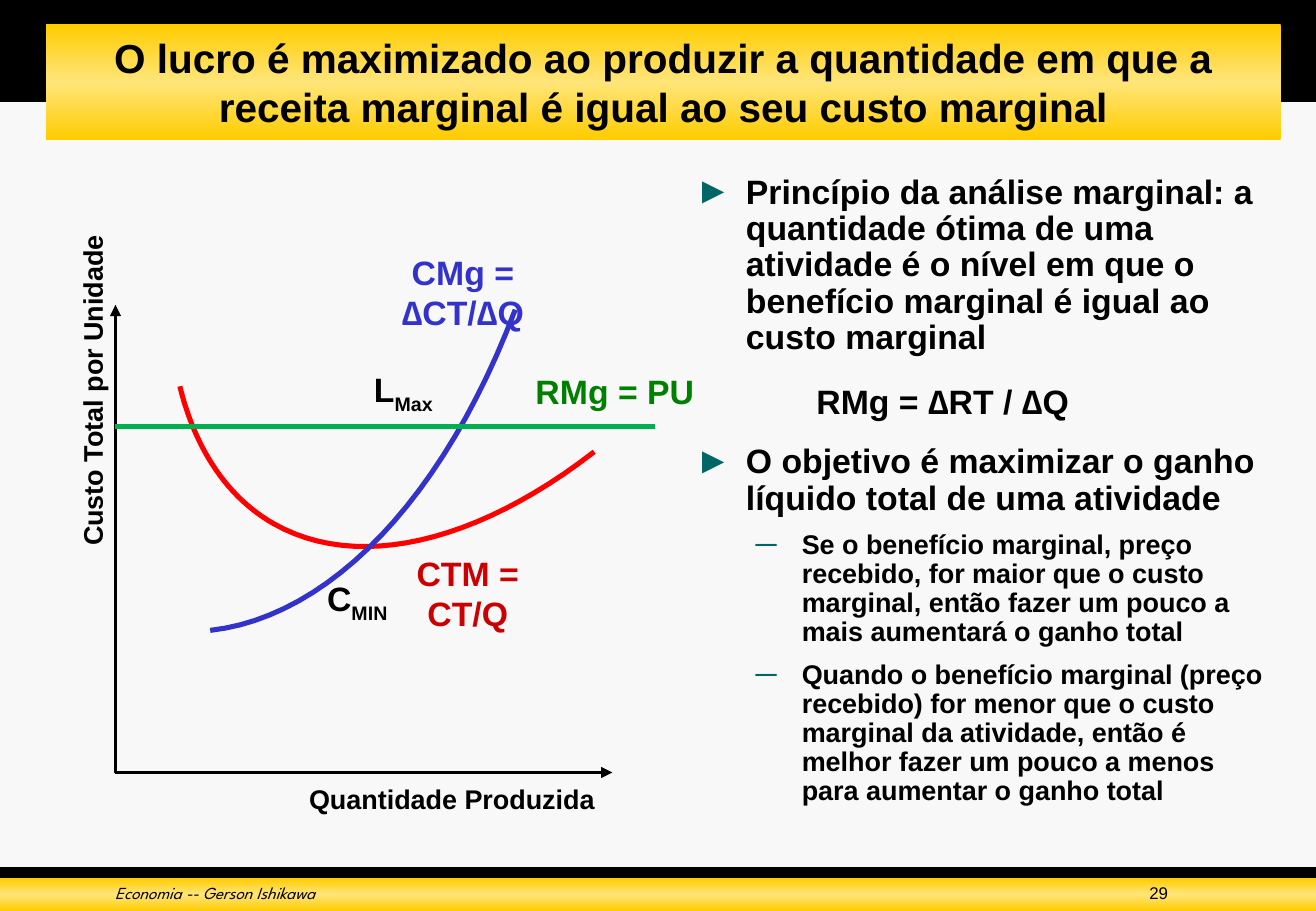
from lxml.etree import SubElement
from pptx import Presentation
from pptx.dml.color import RGBColor
from pptx.enum.shapes import MSO_CONNECTOR as CONN, MSO_SHAPE as SHAPE
from pptx.enum.text import MSO_ANCHOR as ANCHOR, PP_ALIGN as ALIGN
from pptx.oxml import parse_xml
from pptx.oxml.ns import nsdecls, qn
from pptx.util import Inches, Pt

BLACK, TEAL, BLUE = "000000", "006666", "3333CC"
TITLE = ("O lucro é maximizado ao produzir a quantidade em que a "
         "receita marginal é igual ao seu custo marginal")
BODY = [
    (0, "Princípio da análise marginal: a quantidade ótima de uma atividade é o nível "
        "em que o benefício marginal é igual ao custo marginal"),
    (None, "RMg = ∆RT / ∆Q"),
    (0, "O objetivo é maximizar o ganho líquido total de uma atividade"),
    (1, "Se o benefício marginal, preço recebido, for maior que o custo marginal, "
        "então fazer um pouco a mais aumentará o ganho total"),
    (1, "Quando o benefício marginal (preço recebido) for menor que o custo marginal "
        "da atividade, então é melhor fazer um pouco a menos para aumentar o ganho total"),
]
LEVELS = {
    0: dict(size=20, left=0.42, hang=-0.42, before=14, lines=0.9, bullet="►"),
    1: dict(size=16, left=0.88, hang=-0.38, before=8, lines=0.9, bullet="─"),
    None: dict(size=20, left=1, hang=0, before=14, lines=1, bullet=None),
}


def rgb(color):
    """Turn a hex string into a colour."""
    return RGBColor.from_string(color)


def add_run(p, text, size, color=BLACK, bold=True, italic=False, font="Arial"):
    """Append one formatted run to a paragraph."""
    r = p.add_run()
    r.text = text
    f = r.font
    f.name, f.size, f.bold, f.italic = font, Pt(size), bold, italic
    f.color.rgb = rgb(color)
    return r


def add_text(s, x, y, w, h, wrap=True, align=ALIGN.LEFT):
    """Add an empty text box and return it with its first paragraph."""
    sp = s.shapes.add_textbox(Inches(x), Inches(y), Inches(w), Inches(h))
    sp.text_frame.word_wrap = wrap
    p = sp.text_frame.paragraphs[0]
    p.alignment = align
    return sp, p


def add_bar(s, x, y, w, h, gold=False):
    """Add a black bar, or a gold one that is lighter in the middle."""
    sp = s.shapes.add_shape(SHAPE.RECTANGLE, Inches(x), Inches(y), Inches(w), Inches(h))
    sp.shadow.inherit = False
    sp.line.fill.background()
    if gold:
        stops = "".join(f'<a:gs pos="{pos}"><a:srgbClr val="{color}"/></a:gs>' for pos, color in
                        ((0, "FFCC00"), (50000, "FFE579"), (100000, "FFCC00")))
        sp.fill.background()
        none = sp._element.spPr.find(qn("a:noFill"))
        none.addprevious(parse_xml(f'<a:gradFill {nsdecls("a")}><a:gsLst>{stops}</a:gsLst>'
                                   '<a:lin ang="5400000" scaled="0"/></a:gradFill>'))
        sp._element.spPr.remove(none)
    else:
        sp.fill.solid()
        sp.fill.fore_color.rgb = rgb(BLACK)
    return sp


def add_line(s, x1, y1, x2, y2, color, width, arrow=False):
    """Add a straight line, with an arrowhead at its end if asked."""
    c = s.shapes.add_connector(CONN.STRAIGHT, Inches(x1), Inches(y1), Inches(x2), Inches(y2))
    c.line.color.rgb = rgb(color)
    c.line.width = Pt(width)
    if arrow:
        SubElement(c.line._get_or_add_ln(), qn("a:tailEnd"), type="triangle")
    SubElement(c._element.spPr, qn("a:effectLst"))


def bezier(p0, p1, p2, p3, steps=24):
    """Return the points after the first along a cubic curve."""
    ts = [i / steps for i in range(1, steps + 1)]
    return [tuple((1 - t) ** 3 * a + 3 * t * (1 - t) ** 2 * b + 3 * t * t * (1 - t) * c + t ** 3 * d
                  for a, b, c, d in zip(p0, p1, p2, p3)) for t in ts]


def add_curve(s, x, y, knots, color):
    """Draw joined cubic curves through knots relative to x, y."""
    points = [knots[0]]
    for i in range(0, len(knots) - 1, 3):
        points += bezier(*knots[i:i + 4])
    start, *rest = [(Inches(x + dx), Inches(y + dy)) for dx, dy in points]
    builder = s.shapes.build_freeform(*start)
    builder.add_line_segments(rest, close=False)
    sp = builder.convert_to_shape()
    sp.shadow.inherit = False
    sp.fill.background()
    sp.line.color.rgb = rgb(color)
    sp.line.width = Pt(3)


def add_label(s, cx, y, w, text, color=BLACK, size=20, sub="", wrap=False):
    """Add a centred bold label, with an optional subscript."""
    sp, p = add_text(s, cx - w / 2, y, w, 0.44 if size == 20 else 0.37, wrap, ALIGN.CENTER)
    add_run(p, text, size, color)
    if sub:
        r = add_run(p, sub, size, color)
        r.font._element.set("baseline", "-25000")
    return sp


def add_cost_graph(s, x, y, w, h):
    """Draw the axes, cost curves and labels in a box whose corners are the axis tips."""
    add_line(s, x, y + h, x, y, BLACK, 2.25, arrow=True)
    add_line(s, x, y + h, x + w, y + h, BLACK, 2.25, arrow=True)
    add_label(s, x - 0.19, y + 0.52, 2.78, "Custo Total por Unidade", size=16).rotation = 270
    add_label(s, x + 2.77, y + h + 0.03, 2.56, "Quantidade Produzida", size=16)
    add_curve(s, x, y, [(3.94, 1.21), (2.96, 1.97), (1.98, 2.19), (1.3, 1.8),
                        (0.93, 1.59), (0.66, 1.2), (0.53, 0.67)], "FF0000")
    add_curve(s, x, y, [(3.29, 0.04), (2.71, 1.58), (1.77, 2.57), (0.78, 2.68)], BLUE)
    add_label(s, x + 2.86, y - 0.49, 1.4, "CMg = ∆CT/∆Q", BLUE, wrap=True)
    add_label(s, x + 2.9, y + 1.99, 1.3, "CTM = CT/Q", "CC0000", wrap=True)
    add_label(s, x + 1.99, y + 2.2, 0.75, "C", sub="MIN")
    add_line(s, x, y + 1, x + 4.44, y + 1, "00B050", 3)
    add_label(s, x + 4.11, y + 0.49, 1.52, "RMg = PU", "008000")
    add_label(s, x + 2.37, y + 0.48, 0.74, "L", sub="Max")


def add_body(s, x, y, w, h):
    """Add the bulleted text."""
    sp, p = add_text(s, x, y, w, h)
    for i, (level, text) in enumerate(BODY):
        st = LEVELS[level]
        if i:
            p = sp.text_frame.add_paragraph()
            p.space_before = Pt(st["before"])
        p.level = level or 0
        p.line_spacing = st["lines"]
        pPr = p._p.get_or_add_pPr()
        pPr.set("marL", str(Inches(st["left"])))
        pPr.set("indent", str(Inches(st["hang"])))
        if st["bullet"]:
            SubElement(SubElement(pPr, qn("a:buClr")), qn("a:srgbClr"), val=TEAL)
            SubElement(pPr, qn("a:buSzPct"), val="110000")
            SubElement(pPr, qn("a:buFont"), typeface="Arial")
            SubElement(pPr, qn("a:buChar"), char=st["bullet"])
        add_run(p, text, st["size"])


def add_header(s, x, y, w, h):
    """Add the black band and the gold title bar over it."""
    add_bar(s, x, y, w, h)
    sp = add_bar(s, x + 0.38, y + 0.2, 10.16, 0.95, gold=True)
    sp.text_frame.word_wrap = True
    sp.text_frame.vertical_anchor = ANCHOR.MIDDLE
    p = sp.text_frame.paragraphs[0]
    p.alignment = ALIGN.CENTER
    add_run(p, TITLE, 24)


def add_footer(s, x, y, w, h):
    """Add the footer bands, the credit line and the page number."""
    add_bar(s, x, y, w, h)
    add_bar(s, x, y + 0.09, w, h - 0.09, gold=True)
    p = add_text(s, x + 0.85, y + 0.08, 6.22, 0.28)[1]
    add_run(p, "Economia -- Gerson Ishikawa", 10, bold=False, italic=True, font="League Spartan")
    p = add_text(s, x + 8.57, y + 0.08, 1.14, 0.28, align=ALIGN.RIGHT)[1]
    add_run(p, "29", 10, bold=False)


def main():
    """Build and save the slide."""
    prs = Presentation()
    prs.slide_width, prs.slide_height = Inches(10.83), Inches(7.5)
    s = prs.slides.add_slide(prs.slide_layouts[6])
    s.background.fill.solid()
    s.background.fill.fore_color.rgb = rgb("F8F8F8")
    add_header(s, 0, 0, 10.83, 0.84)
    add_footer(s, 0, 7.14, 10.83, 0.36)
    add_body(s, 5.62, 1.39, 4.92, 5.59)
    add_cost_graph(s, 0.95, 2.51, 4.09, 3.85)
    prs.save("out.pptx")


if __name__ == "__main__":
    main()
